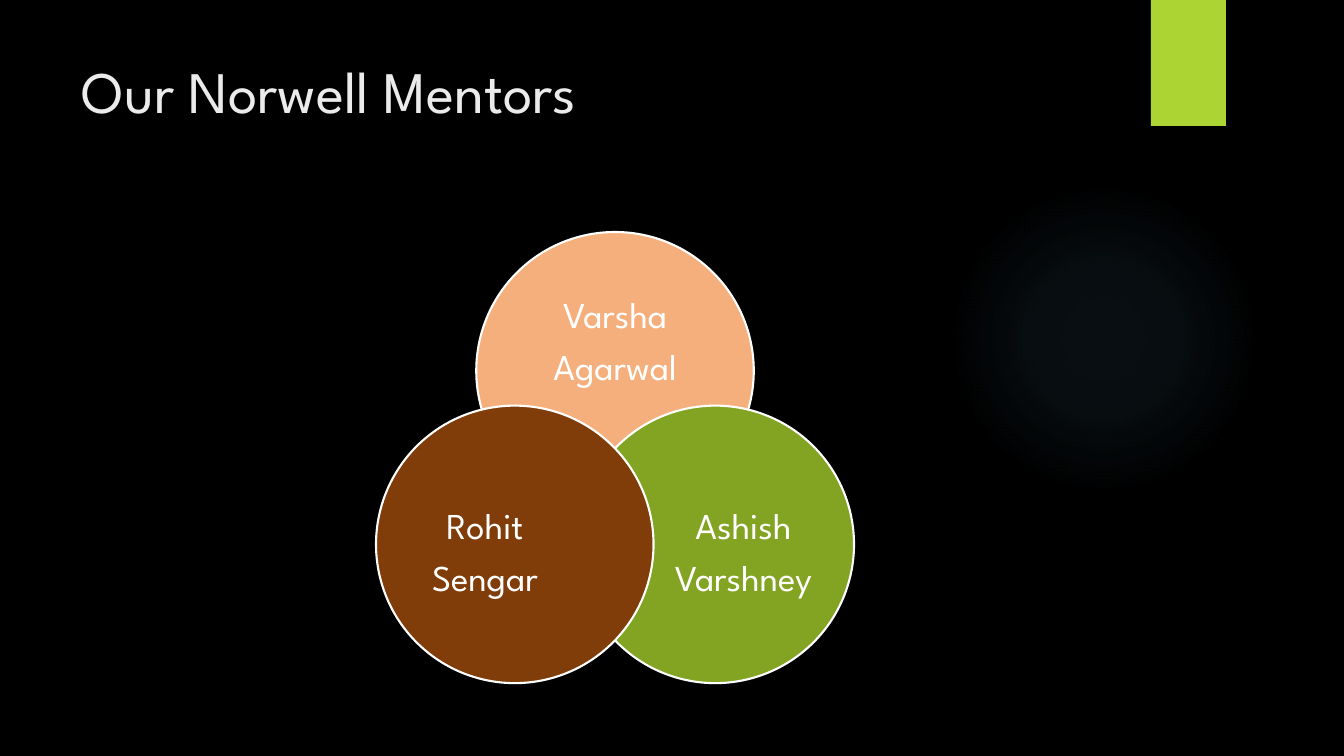
import math
import lxml.etree
import pptx
import pptx.dml.color
import pptx.enum.shapes
import pptx.enum.text
import pptx.oxml
import pptx.oxml.ns
import pptx.util

RGB = pptx.dml.color.RGBColor
ALIGN = pptx.enum.text.PP_ALIGN
ANCHOR = pptx.enum.text.MSO_ANCHOR
SHAPE = pptx.enum.shapes.MSO_SHAPE

SCALE = 914400 / 100.8
FONT = "League Spartan"
BLACK = RGB(0x00, 0x00, 0x00)
WHITE = RGB(0xFF, 0xFF, 0xFF)
PALE = RGB(0xEB, 0xEB, 0xEB)
LIME = RGB(0xAC, 0xD4, 0x33)
PEACH = RGB(0xF5, 0xAF, 0x7C)
GREEN = RGB(0x83, 0xA3, 0x22)
BROWN = RGB(0x80, 0x3C, 0x09)
SKY = RGB(0x7A, 0xC4, 0xF0)

# Angle on the ring, fill, name lines, label box relative to the circle
MENTORS = [
    (-90, PEACH, ["Varsha", "Agarwal"], (37, 48, 204, 125)),
    (30, GREEN, ["Ashish", "Varshney"], (84, 72, 166, 152)),
    (150, BROWN, ["Rohit", "Sengar"], (26, 72, 166, 152)),
]


def emu(*sizes):
    """Turn pixel lengths into EMU."""
    return [pptx.util.Emu(round(size * SCALE)) for size in sizes]


def write(frame, lines, size, color, align=ALIGN.LEFT, anchor=ANCHOR.TOP,
          inset=(10, 5), pitch=1.0, after=0):
    """Fill a text frame with one paragraph per line."""
    frame.word_wrap = True
    frame.auto_size = pptx.enum.text.MSO_AUTO_SIZE.NONE
    frame.vertical_anchor = anchor
    frame.margin_left, frame.margin_top = emu(*inset)
    frame.margin_right, frame.margin_bottom = emu(*inset)
    for index, line in enumerate(lines):
        para = frame.add_paragraph() if index else frame.paragraphs[0]
        para.alignment = align
        para.line_spacing = pitch
        para.space_after = pptx.util.Pt(after)
        run = para.add_run()
        run.text = line
        run.font.name = FONT
        run.font.size = pptx.util.Pt(size)
        run.font.color.rgb = color


def draw(shapes, kind, box, fill, line=None):
    """Add a flat preset shape with an optional outline."""
    shape = shapes.add_shape(kind, *emu(*box))
    shape.shadow.inherit = False
    shape.fill.solid()
    shape.fill.fore_color.rgb = fill
    if line is None:
        shape.line.fill.background()
    else:
        shape.line.color.rgb = line
        shape.line.width = pptx.util.Pt(1.5)
    return shape


def add_glow(shapes, box):
    """Add a faint round glow that fades out to its edge."""
    glow = draw(shapes, SHAPE.OVAL, box, SKY)
    stops = "".join(
        f'<a:gs pos="{pos * 1000}"><a:srgbClr val="{SKY}">'
        f'<a:alpha val="{alpha * 1000}"/></a:srgbClr></a:gs>'
        for pos, alpha in [(0, 7), (36, 6), (69, 0)])
    grad = pptx.oxml.parse_xml(
        f'<a:gradFill {pptx.oxml.ns.nsdecls("a")}><a:gsLst>{stops}</a:gsLst>'
        '<a:path path="circle"><a:fillToRect l="50000" t="50000" r="50000" '
        'b="50000"/></a:path></a:gradFill>')
    props = glow.element.spPr
    props.replace(props.find(pptx.oxml.ns.qn("a:solidFill")), grad)


def add_title(slide, box, text):
    """Place and format the title placeholder."""
    title = slide.shapes.title
    title.left, title.top, title.width, title.height = emu(*box)
    write(title.text_frame, [text], 42, PALE)


def add_venn(slide, box):
    """Group three overlapping circles set evenly around a ring."""
    left, top, width, height = box
    shapes = slide.shapes.add_group_shape().shapes
    side = 277.5
    ring = (width - side) / math.sqrt(3)
    mid_x = left + width / 2
    mid_y = top + side / 2 + ring
    for angle, fill, lines, label in MENTORS:
        turn = math.radians(angle)
        x = mid_x + ring * math.cos(turn) - side / 2
        y = mid_y + ring * math.sin(turn) - side / 2
        draw(shapes, SHAPE.OVAL, (x, y, side, side), fill, WHITE)
        dx, dy, wide, high = label
        text = shapes.add_textbox(*emu(x + dx, y + dy, wide, high))
        write(text.text_frame, lines, 26, WHITE, align=ALIGN.CENTER,
              anchor=ANCHOR.MIDDLE, inset=(0, 0), pitch=0.9, after=9.1)


def build():
    """Build the mentors slide and save it."""
    deck = pptx.Presentation()
    deck.slide_width, deck.slide_height = emu(1344, 756)
    slide = deck.slides.add_slide(deck.slide_layouts[5])
    back = slide.background.fill
    back.solid()
    back.fore_color.rgb = BLACK
    add_glow(slide.shapes, (949, 184, 310, 310))
    draw(slide.shapes, SHAPE.RECTANGLE, (1151, 0, 75, 126), LIME)
    add_title(slide, (72, 50, 1037, 154), "Our Norwell Mentors")
    add_venn(slide, (376, 232, 478, 451))
    deck.save("out.pptx")


build()
